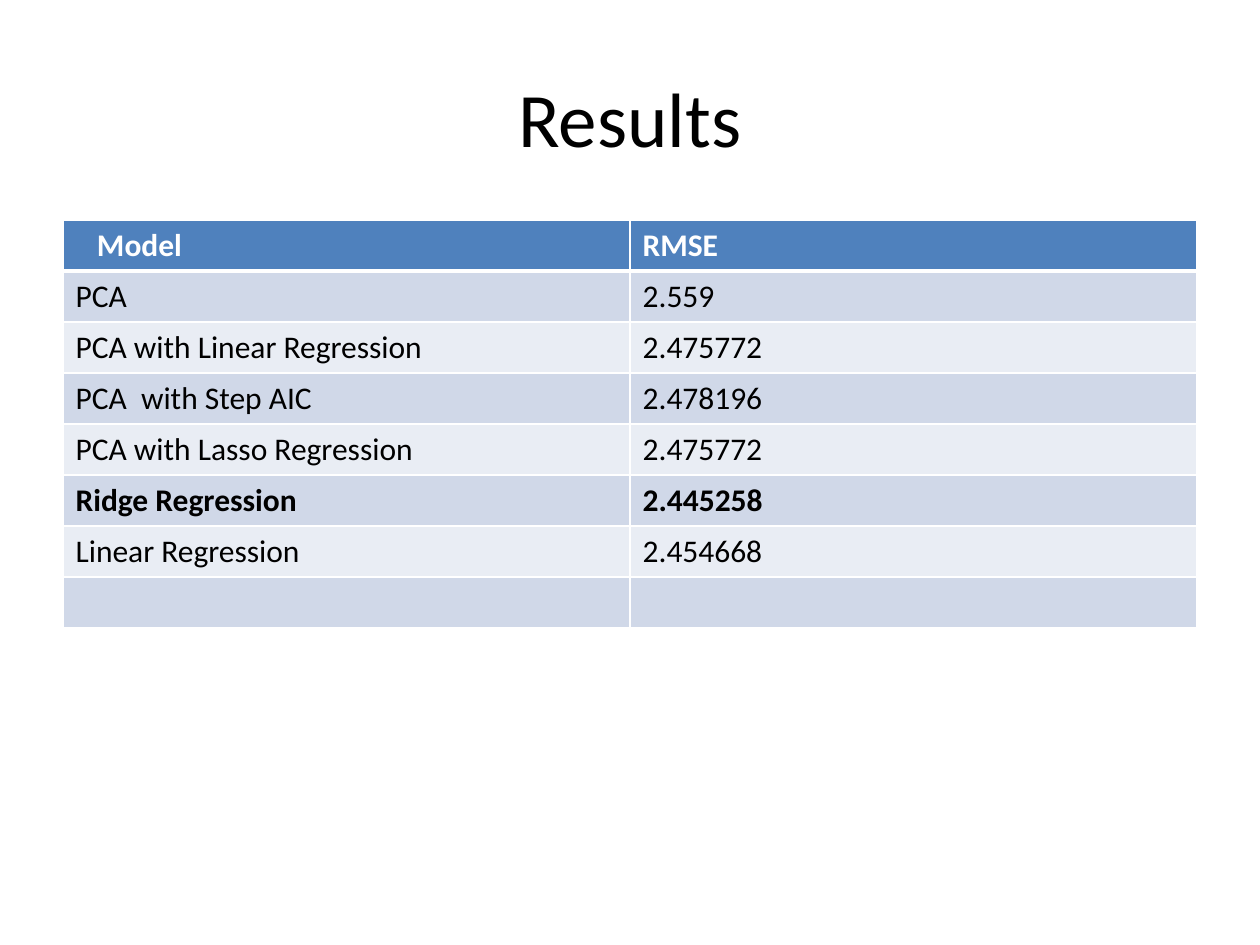
"""Build the Results slide with a table of models and their RMSE."""
from lxml.etree import SubElement
from pptx import Presentation
from pptx.dml.color import RGBColor
from pptx.enum.text import MSO_ANCHOR as Anchor, PP_ALIGN as Align
from pptx.oxml.ns import qn
from pptx.util import Pt

EMU_PER_PIXEL = 914400 / 126
FONT = "Calibri"
COLORS = {
    "text": "000000",
    "white": "FFFFFF",
    "header": "4F81BD",
    "band_dark": "D0D8E8",
    "band_light": "E9EDF4",
}
ROWS = [
    ("Model", "RMSE"),
    ("PCA", "2.559"),
    ("PCA with Linear Regression", "2.475772"),
    ("PCA  with Step AIC", "2.478196"),
    ("PCA with Lasso Regression", "2.475772"),
    ("Ridge Regression", "2.445258"),
    ("Linear Regression", "2.454668"),
    ("", ""),
]
BEST_MODEL = "Ridge Regression"
ROW_HEIGHT = 51
COLUMN_WIDTH = 567
HEADER_INDENT = 34


def px(pixels):
    """Turn pixels into EMU."""
    return round(pixels * EMU_PER_PIXEL)


def color(name):
    """Return a named colour."""
    return RGBColor.from_string(COLORS[name])


def write_text(frame, text, size=18, bold=False, fill="text", align=Align.LEFT):
    """Write one formatted paragraph into a text frame."""
    paragraph = frame.paragraphs[0]
    paragraph.alignment = align
    paragraph.font.size = Pt(size)
    if text:
        run = paragraph.add_run()
        run.text = text
        run.font.name = FONT
        run.font.size = Pt(size)
        run.font.bold = bold
        run.font.color.rgb = color(fill)


def add_title(slide, text, left, top, width, height):
    """Add the centred slide title."""
    shape = slide.shapes.add_textbox(px(left), px(top), px(width), px(height))
    frame = shape.text_frame
    frame.word_wrap = True
    frame.vertical_anchor = Anchor.MIDDLE
    write_text(frame, text, size=44, align=Align.CENTER)


def set_borders(cell, bottom):
    """Draw white borders, with a bottom line of the given width in points."""
    properties = cell._tc.get_or_add_tcPr()
    for side, width in (("L", 1), ("R", 1), ("T", 1), ("B", bottom)):
        line = SubElement(properties, qn(f"a:ln{side}"), w=str(Pt(width)))
        fill = SubElement(line, qn("a:solidFill"))
        SubElement(fill, qn("a:srgbClr"), val=COLORS["white"])


def style_cell(cell, fill, bottom):
    """Set the borders and the fill of a cell."""
    set_borders(cell, bottom)
    cell.fill.solid()
    cell.fill.fore_color.rgb = color(fill)


def add_results_table(slide, rows, left, top):
    """Add the table with a header, banded rows and the best model in bold."""
    columns = len(rows[0])
    table = slide.shapes.add_table(
        len(rows), columns, px(left), px(top),
        px(columns * COLUMN_WIDTH), px(len(rows) * ROW_HEIGHT),
    ).table
    table.horz_banding = False
    for column in table.columns:
        column.width = px(COLUMN_WIDTH)
    for index, values in enumerate(rows):
        table.rows[index].height = px(ROW_HEIGHT)
        header = index == 0
        band = "band_dark" if index % 2 else "band_light"
        for cell, value in zip(table.rows[index].cells, values):
            style_cell(cell, "header" if header else band, 3 if header else 1)
            write_text(cell.text_frame, value,
                       bold=header or values[0] == BEST_MODEL,
                       fill="white" if header else "text")
    table.cell(0, 0).margin_left = px(HEADER_INDENT)


def main():
    """Build and save the presentation."""
    presentation = Presentation()
    presentation.slide_width = px(1260)
    presentation.slide_height = px(945)
    slide = presentation.slides.add_slide(presentation.slide_layouts[6])
    add_title(slide, "Results", 63, 38, 1134, 157)
    add_results_table(slide, ROWS, 63, 220)
    presentation.save("out.pptx")


main()
